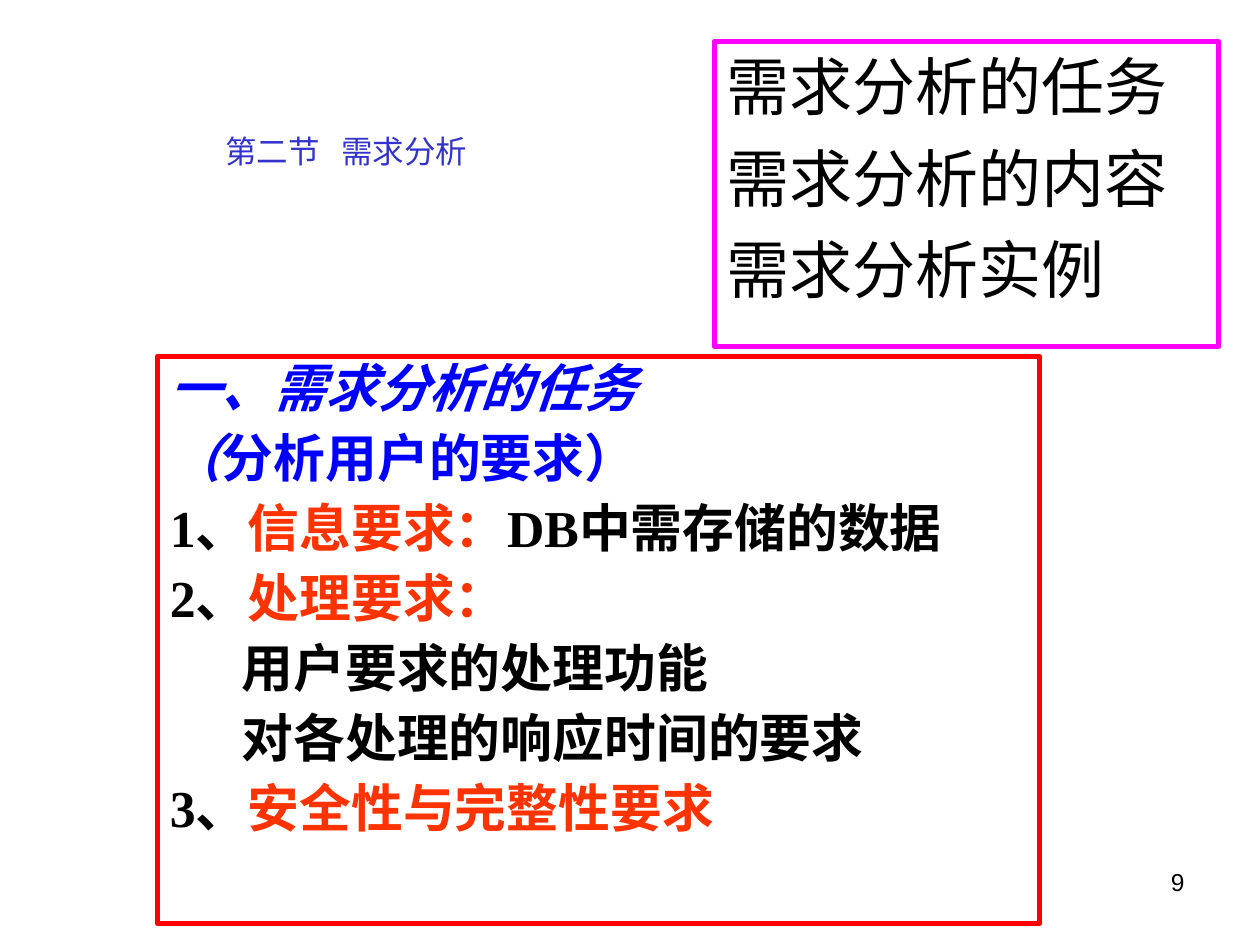
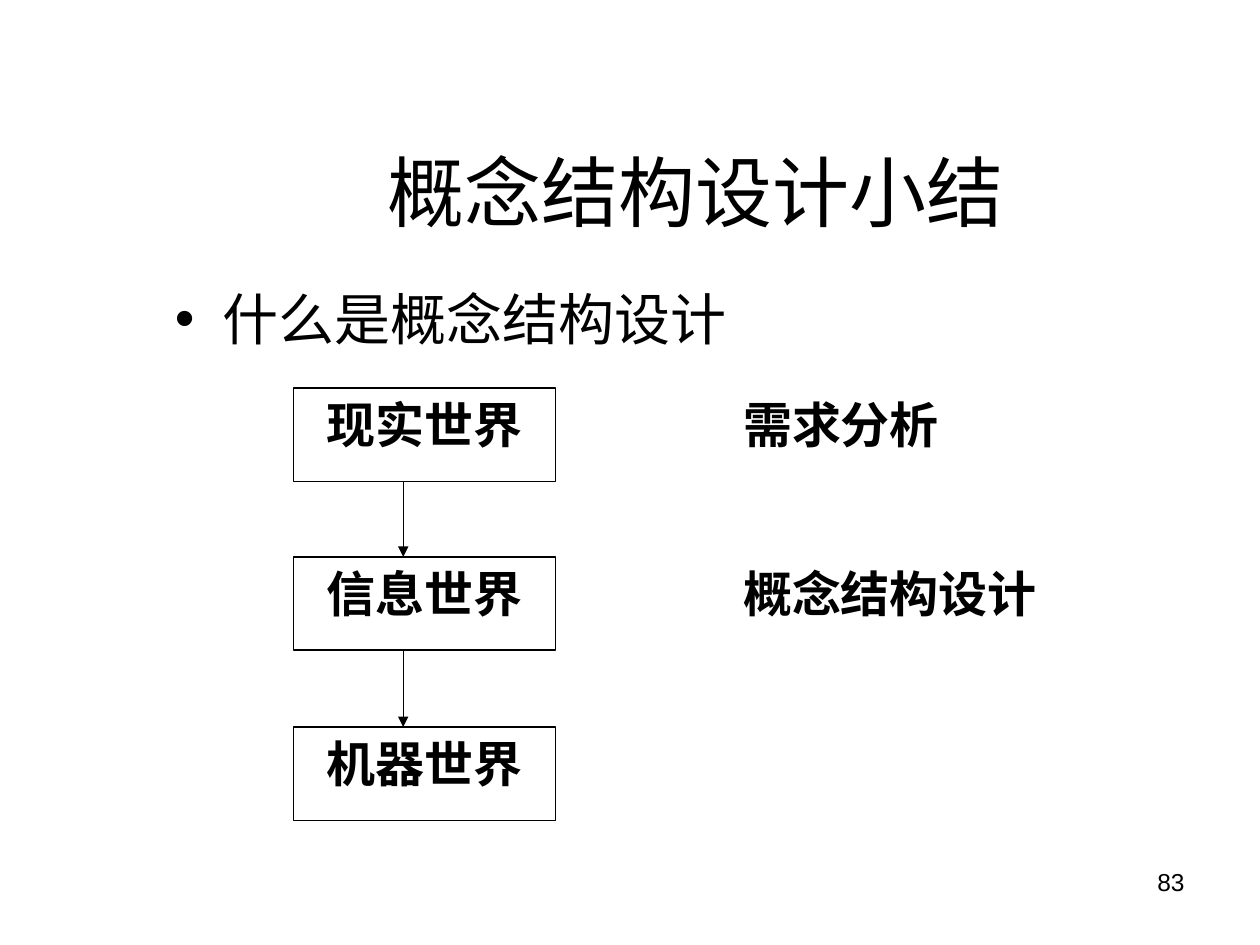
import pptx
import pptx.dml.color
import pptx.enum.shapes
import pptx.enum.text
import pptx.util
from lxml import etree
from pptx.oxml.ns import qn

COLORS = {
    "text": "000000",
    "section": "3333CC",
    "heading": "0000FF",
    "keyword": "FF3300",
    "outline_border": "FF00FF",
    "task_border": "FF0000",
}
SANS, SERIF, CJK = "Arial", "Times New Roman", "Noto Sans CJK SC"
ALIGN = pptx.enum.text.PP_ALIGN
ANCHOR = pptx.enum.text.MSO_ANCHOR
HANG = 4.5  # hanging indent, in grid units


def grid(n):
    """The slide is a grid of 120 columns by 90 rows, 12 to the inch."""
    return pptx.util.Inches(round(n / 12, 2))


def rgb(name):
    return pptx.dml.color.RGBColor.from_string(COLORS[name])


def style_run(r, size, font=SANS, color="text", bold=False, italic=False):
    r.font.size = pptx.util.Pt(size)
    r.font.name = font
    r.font.color.rgb = rgb(color)
    r.font.bold = bold
    r.font.italic = italic


def set_indent(p, left, first=0):
    pPr = p._p.get_or_add_pPr()
    pPr.set("marL", str(grid(left)))
    pPr.set("indent", str(grid(first)))
    return pPr


def add_bullet(p, char="•"):
    pPr = set_indent(p, HANG, -HANG)
    etree.SubElement(pPr, qn("a:buFont")).set("typeface", SANS)
    etree.SubElement(pPr, qn("a:buChar")).set("char", char)


def add_tab_stop(p, pos):
    tabs = etree.SubElement(p._p.get_or_add_pPr(), qn("a:tabLst"))
    tab = etree.SubElement(tabs, qn("a:tab"))
    tab.set("pos", str(grid(pos)))
    tab.set("algn", "l")


def add_text(slide, area, text, size, align=ALIGN.LEFT, anchor=ANCHOR.TOP, **style):
    """Text box with one uniformly styled paragraph; returns the paragraph."""
    tf = slide.shapes.add_textbox(*map(grid, area)).text_frame
    tf.word_wrap = True
    tf.vertical_anchor = anchor
    p = tf.paragraphs[0]
    p.text = text
    p.alignment = align
    for r in p.runs:
        style_run(r, size, **style)
    return p


def add_frame(slide, area, border, width):
    """Unfilled outlined rectangle; returns its text frame."""
    rect = pptx.enum.shapes.MSO_SHAPE.RECTANGLE
    sp = slide.shapes.add_shape(rect, *map(grid, area))
    sp.shadow.inherit = False
    sp.fill.background()
    sp.line.color.rgb = rgb(border)
    sp.line.width = pptx.util.Pt(width)
    tf = sp.text_frame
    tf.word_wrap = True
    tf.vertical_anchor = ANCHOR.TOP
    return tf


def add_lines(tf, lines, size, space_before, spacing=1.0, font=SANS):
    """Each line is (left, first, runs); each run is (text, style)."""
    for i, (left, first, runs) in enumerate(lines):
        p = tf.add_paragraph() if i else tf.paragraphs[0]
        p.alignment = ALIGN.LEFT
        p.line_spacing = spacing
        if i:
            p.space_before = pptx.util.Pt(space_before)
        set_indent(p, left, first)
        for text, style in runs:
            r = p.add_run()
            r.text = text
            style_run(r, size, font, **style)


def add_arrow(slide, x, top, bottom):
    straight = pptx.enum.shapes.MSO_CONNECTOR.STRAIGHT
    line = slide.shapes.add_connector(straight, grid(x), grid(top), grid(x), grid(bottom))
    line.line.color.rgb = rgb("text")
    line.line.width = pptx.util.Pt(0.75)
    etree.SubElement(line.line._get_or_add_ln(), qn("a:tailEnd")).set("type", "triangle")
    etree.SubElement(line._element.spPr, qn("a:effectLst"))


def new_slide(prs, number):
    slide = prs.slides.add_slide(prs.slide_layouts[6])
    add_text(slide, (86, 82, 28, 6.25), str(number), 14, ALIGN.RIGHT)
    return slide


def build_requirements(prs):
    slide = new_slide(prs, 9)

    # Section name, its two parts set apart by a tab
    p = add_text(slide, (20.3, 12, 34, 11), "第二节\t需求分析", 18, font=CJK, color="section")
    add_tab_stop(p, 11.1)

    # Section outline
    topics = ["需求分析的任务", "需求分析的内容", "需求分析实例"]
    tf = add_frame(slide, (68, 4, 48, 29), "outline_border", 3)
    add_lines(tf, [(HANG, -HANG, [(t, {})]) for t in topics], 36, 9)

    # Tasks of requirements analysis
    plain = {"bold": True}
    head = {"bold": True, "color": "heading"}
    slanted = {**head, "italic": True}
    key = {"bold": True, "color": "keyword"}
    items = [
        [("一、需求分析的任务", slanted)],
        [("（", slanted), ("分析用户的要求）", head)],
        [("1、", plain), ("信息要求：", key), ("DB中需存储的数据", plain)],
        [("2、", plain), ("处理要求：", key)],
        [("用户要求的处理功能", plain)],
        [("对各处理的响应时间的要求", plain)],
        [("3、", plain), ("安全性与完整性要求", key)],
    ]
    details = (4, 5)
    lines = [(6.8, 0, runs) if i in details else (HANG, -HANG, runs)
             for i, runs in enumerate(items)]
    tf = add_frame(slide, (15, 34, 84, 54), "task_border", 3)
    add_lines(tf, lines, 29.6, 8, 0.9, SERIF)


def build_summary(prs):
    slide = new_slide(prs, 83)

    # Title and bullet
    add_text(slide, (15.1, 8.2, 102.2, 15), "概念结构设计小结", 44, ALIGN.CENTER, ANCHOR.BOTTOM)
    add_bullet(add_text(slide, (15.5, 26.5, 102, 54), "什么是概念结构设计", 32))

    # Chain of worlds, each with the design stage beside it
    top, pitch, height = 37, 16.1, 8.9
    worlds = [("现实世界", "需求分析"), ("信息世界", "概念结构设计"), ("机器世界", None)]
    for i, (world, stage) in enumerate(worlds):
        y = top + i * pitch
        tf = add_frame(slide, (28, y, 25, height), "text", 0.75)
        p = tf.paragraphs[0]
        p.text = world
        p.alignment = ALIGN.CENTER
        style_run(p.runs[0], 28, SERIF, bold=True)
        if i:
            add_arrow(slide, 38.4, y - pitch + height, y)
        if stage:
            add_text(slide, (69.6, y, 36, 7), stage, 28, font=SERIF, bold=True)


def main():
    prs = pptx.Presentation()
    prs.slide_width, prs.slide_height = grid(120), grid(90)
    build_requirements(prs)
    build_summary(prs)
    prs.save("out.pptx")


if __name__ == "__main__":
    main()
